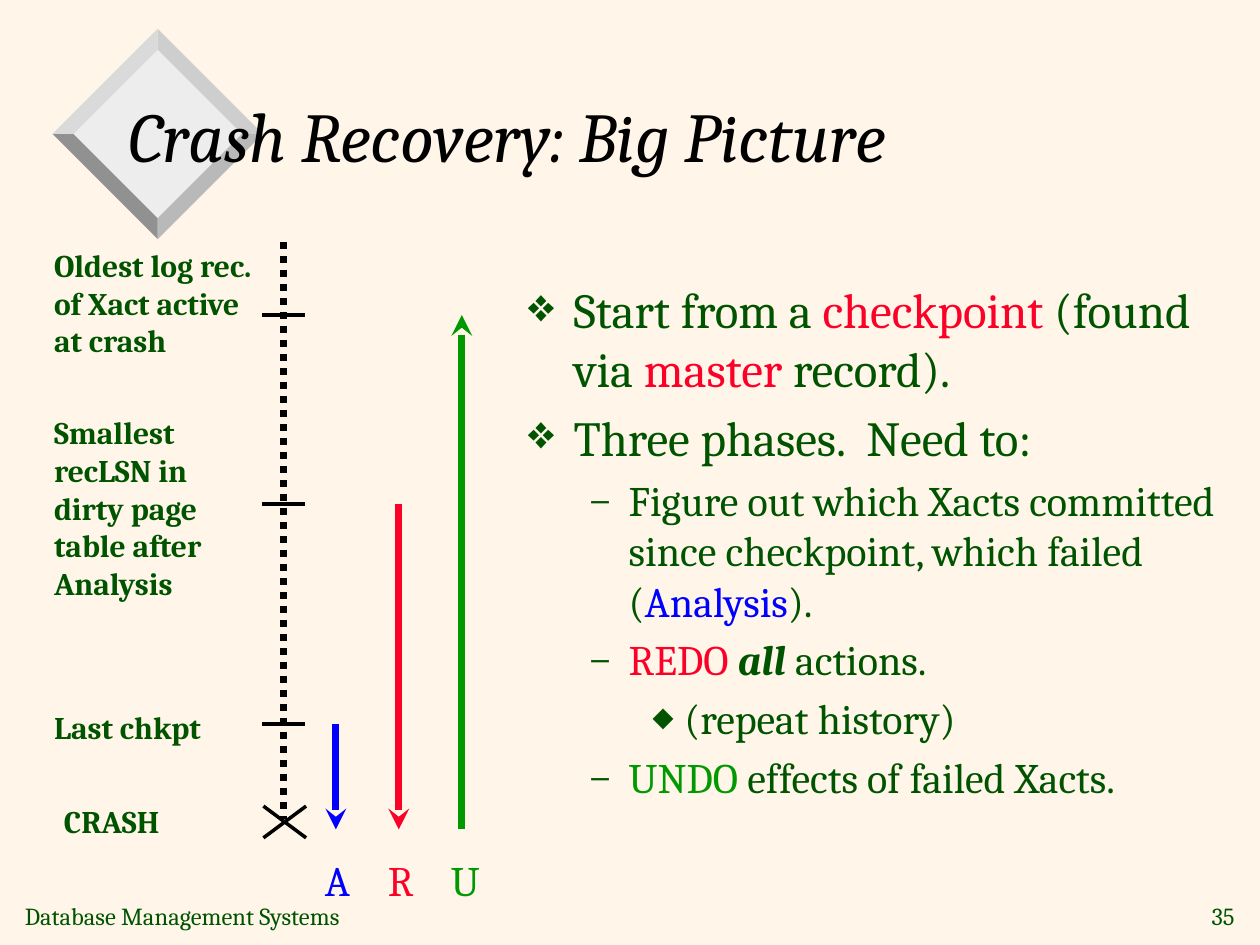
from dataclasses import dataclass
from typing import NamedTuple, Optional

from lxml.etree import SubElement
from pptx import Presentation
from pptx.dml.color import RGBColor
from pptx.enum.dml import MSO_LINE
from pptx.enum.shapes import MSO_CONNECTOR
from pptx.enum.text import MSO_ANCHOR, MSO_AUTO_SIZE, PP_ALIGN
from pptx.oxml.ns import qn
from pptx.util import Cm, Pt


@dataclass(frozen=True)
class Theme:
    font: str = "Cambria"
    background: str = "FFF6E9"
    text: str = "005400"
    black: str = "000000"
    red: str = "FC0128"
    blue: str = "0000FF"
    green: str = "009900"
    face: str = "EDEDED"
    facets: tuple = ("CECECE", "B9B9B9", "919191", "DADADA")  # clockwise from top right
    title_size: int = 40
    body_sizes: tuple = (28, 24, 24)
    label_size: int = 18
    phase_size: int = 24
    footer_size: int = 14


THEME = Theme()


class Span(NamedTuple):
    text: str
    color: str = THEME.text
    bold: bool = False
    italic: bool = False


class Bullet(NamedTuple):
    symbol: str
    indent: float
    hanging: float
    percent: int


class Item(NamedTuple):
    level: int
    spans: list


class Label(NamedTuple):
    text: str
    left: float
    top: float
    height: float


class Phase(NamedTuple):
    letter: str
    color: str
    top: float
    arrow_end: str


BULLETS = (
    Bullet("❖", 0.95, 0.95, 75),
    Bullet("–", 2.06, 0.79, 100),
    Bullet("◆", 3.18, 0.64, 65),
)
ITEMS = [
    Item(0, [Span("Start from a "), Span("checkpoint", THEME.red), Span(" (found via "),
             Span("master", THEME.red), Span(" record).")]),
    Item(0, [Span("Three phases.  Need to:")]),
    Item(1, [Span("Figure out which Xacts committed since checkpoint, which failed ("),
             Span("Analysis", THEME.blue), Span(").")]),
    Item(1, [Span("REDO ", THEME.red), Span("all", bold=True, italic=True), Span(" actions.")]),
    Item(2, [Span("(repeat history)")]),
    Item(1, [Span("UNDO", THEME.green), Span(" effects of failed Xacts.")]),
]

# Log events, from the top of the timeline down
OLDEST, SMALLEST, CHECKPOINT, CRASH = 6.35, 10.16, 14.6, 16.72
TIMELINE_X = 5.72
TICK = 0.43
LABELS = [
    Label("Oldest log rec. of Xact active at crash", 0.84, 4.83, 2.54),
    Label("Smallest recLSN in dirty page table after Analysis", 0.84, 8.2, 4.06),
    Label("Last chkpt", 0.84, 14.15, 1.02),
    Label("CRASH", 1.04, 16.05, 1.02),
]
PHASES = [
    Phase("A", THEME.blue, CHECKPOINT, "tailEnd"),
    Phase("R", THEME.red, SMALLEST, "tailEnd"),
    Phase("U", THEME.green, OLDEST, "headEnd"),
]
PHASE_X, PHASE_STEP = 6.77, 1.27


def add_span(para, span: Span, size: int) -> None:
    run = para.add_run()
    run.text = span.text
    formats = {"name": THEME.font, "size": Pt(size), "bold": span.bold, "italic": span.italic}
    for name, value in formats.items():
        setattr(run.font, name, value)
    run.font.color.rgb = RGBColor.from_string(span.color)


def place(box, left: float, top: float, width: float, height: float) -> None:
    values = {"left": left, "top": top, "width": width, "height": height}
    for name, value in values.items():
        setattr(box, name, Cm(value))


def add_text(page, span: Span, size: int, area: tuple, wrap: bool = True,
             anchor=MSO_ANCHOR.TOP, align=PP_ALIGN.LEFT) -> None:
    box = page.shapes.add_textbox(*map(Cm, area))
    box.text_frame.word_wrap = wrap
    box.text_frame.vertical_anchor = anchor
    para = box.text_frame.paragraphs[0]
    para.alignment = align
    add_span(para, span, size)


def add_line(page, start: tuple, end: tuple, color: str = THEME.black, width: float = 2,
             dash=None, arrow_end: Optional[str] = None) -> None:
    line = page.shapes.add_connector(MSO_CONNECTOR.STRAIGHT, *map(Cm, start + end))
    line.line.color.rgb = RGBColor.from_string(color)
    line.line.width = Pt(width)
    if dash:
        line.line.dash_style = dash
    properties = line._element.spPr
    if arrow_end:
        SubElement(properties.find(qn("a:ln")), qn(f"a:{arrow_end}"), type="stealth")
    SubElement(properties, qn("a:effectLst"))


def add_polygon(page, points: list, color: str) -> None:
    first, *rest = [(Cm(x), Cm(y)) for x, y in points]
    builder = page.shapes.build_freeform(*first)
    builder.add_line_segments(rest, close=True)
    shape = builder.convert_to_shape()
    shape.shadow.inherit = False
    shape.fill.solid()
    shape.fill.fore_color.rgb = RGBColor.from_string(color)
    shape.line.fill.background()


def diamond(radius: float) -> list:
    x, y = 3.18, 2.7
    return [(x, y - radius), (x + radius, y), (x, y + radius), (x - radius, y)]


def add_ornament(page) -> None:
    inner, outer = diamond(1.7), diamond(2.12)
    add_polygon(page, inner, THEME.face)
    for i, color in enumerate(THEME.facets):
        j = (i + 1) % 4
        add_polygon(page, [inner[i], outer[i], outer[j], inner[j]], color)


def set_bullet(para, bullet: Bullet) -> None:
    properties = para._p.get_or_add_pPr()
    properties.set("marL", str(Cm(bullet.indent)))
    properties.set("indent", str(-Cm(bullet.hanging)))
    color = SubElement(properties, qn("a:buClr"))
    SubElement(color, qn("a:srgbClr"), val=THEME.text)
    SubElement(properties, qn("a:buSzPct"), val=str(bullet.percent * 1000))
    SubElement(properties, qn("a:buFont"), typeface=THEME.font)
    SubElement(properties, qn("a:buChar"), char=bullet.symbol)


def fill_placeholders(page) -> None:
    title, body = page.shapes.title, page.placeholders[1]
    place(title, 2.34, 1.17, 21.59, 3.07)
    place(body, 10.36, 5.51, 15.04, 11.33)
    for box, anchor in ((title, MSO_ANCHOR.MIDDLE), (body, MSO_ANCHOR.TOP)):
        box.text_frame.auto_size = MSO_AUTO_SIZE.NONE
        box.text_frame.vertical_anchor = anchor
    heading = title.text_frame.paragraphs[0]
    heading.alignment = PP_ALIGN.LEFT
    add_span(heading, Span("Crash Recovery: Big Picture", THEME.black, italic=True),
             THEME.title_size)
    for i, item in enumerate(ITEMS):
        para = body.text_frame.add_paragraph() if i else body.text_frame.paragraphs[0]
        para.level = item.level
        set_bullet(para, BULLETS[item.level])
        for span in item.spans:
            add_span(para, span, THEME.body_sizes[item.level])


def add_timeline(page) -> None:
    add_line(page, (TIMELINE_X, 4.88), (TIMELINE_X, 16.51), width=4, dash=MSO_LINE.ROUND_DOT)
    for label in LABELS:
        add_text(page, Span(label.text, bold=True), THEME.label_size,
                 (label.left, label.top, 4.65, label.height))
    for y in (OLDEST, SMALLEST, CHECKPOINT):
        add_line(page, (TIMELINE_X - TICK, y), (TIMELINE_X + TICK, y))
    # Cross at the crash
    for rise in (-0.32, 0.32):
        add_line(page, (5.74 - TICK, 16.57 + rise), (5.74 + TICK, 16.57 - rise))


def add_phases(page) -> None:
    for i, phase in enumerate(PHASES):
        x = PHASE_X + i * PHASE_STEP
        add_line(page, (x, phase.top), (x, CRASH), phase.color, 4, arrow_end=phase.arrow_end)
        add_text(page, Span(phase.letter, phase.color), THEME.phase_size,
                 (x - 0.47, 17.11, 1.17, 1.27))


def main() -> None:
    deck = Presentation()
    deck.slide_width, deck.slide_height = Cm(25.4), Cm(19.05)
    page = deck.slides.add_slide(deck.slide_layouts[1])
    page.background.fill.solid()
    page.background.fill.fore_color.rgb = RGBColor.from_string(THEME.background)

    add_ornament(page)
    # Keep the title in front of the ornament
    tree = page.shapes._spTree
    for box in list(page.placeholders):
        tree.append(box._element)
    fill_placeholders(page)
    add_timeline(page)
    add_phases(page)

    # Footer
    footer = {"size": THEME.footer_size, "wrap": False, "anchor": MSO_ANCHOR.MIDDLE}
    add_text(page, Span("Database Management Systems"), area=(0.25, 18.03, 7.44, 0.84), **footer)
    add_text(page, Span("35"), area=(24, 18.03, 1.14, 0.84), align=PP_ALIGN.RIGHT, **footer)
    deck.save("out.pptx")


if __name__ == "__main__":
    main()
